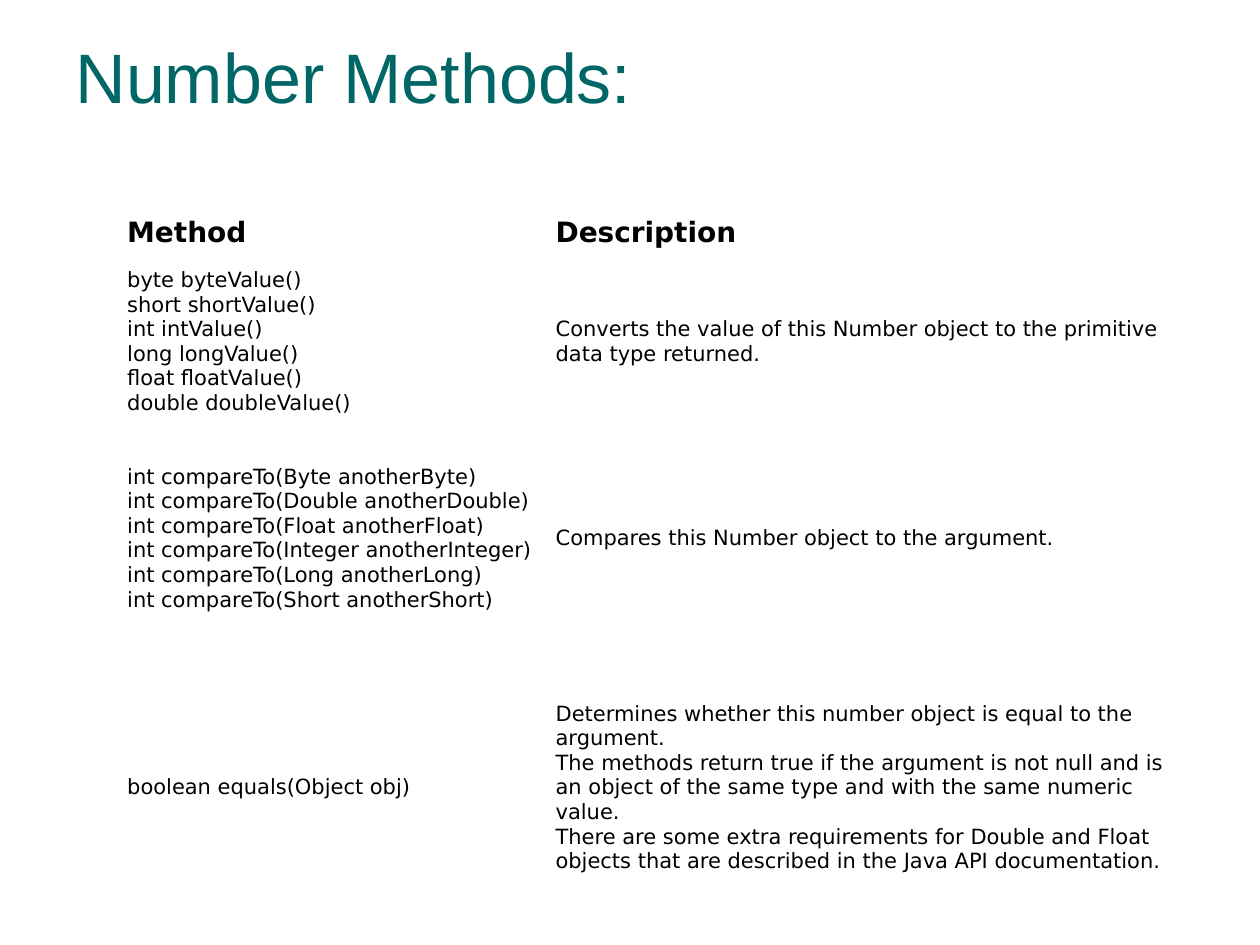
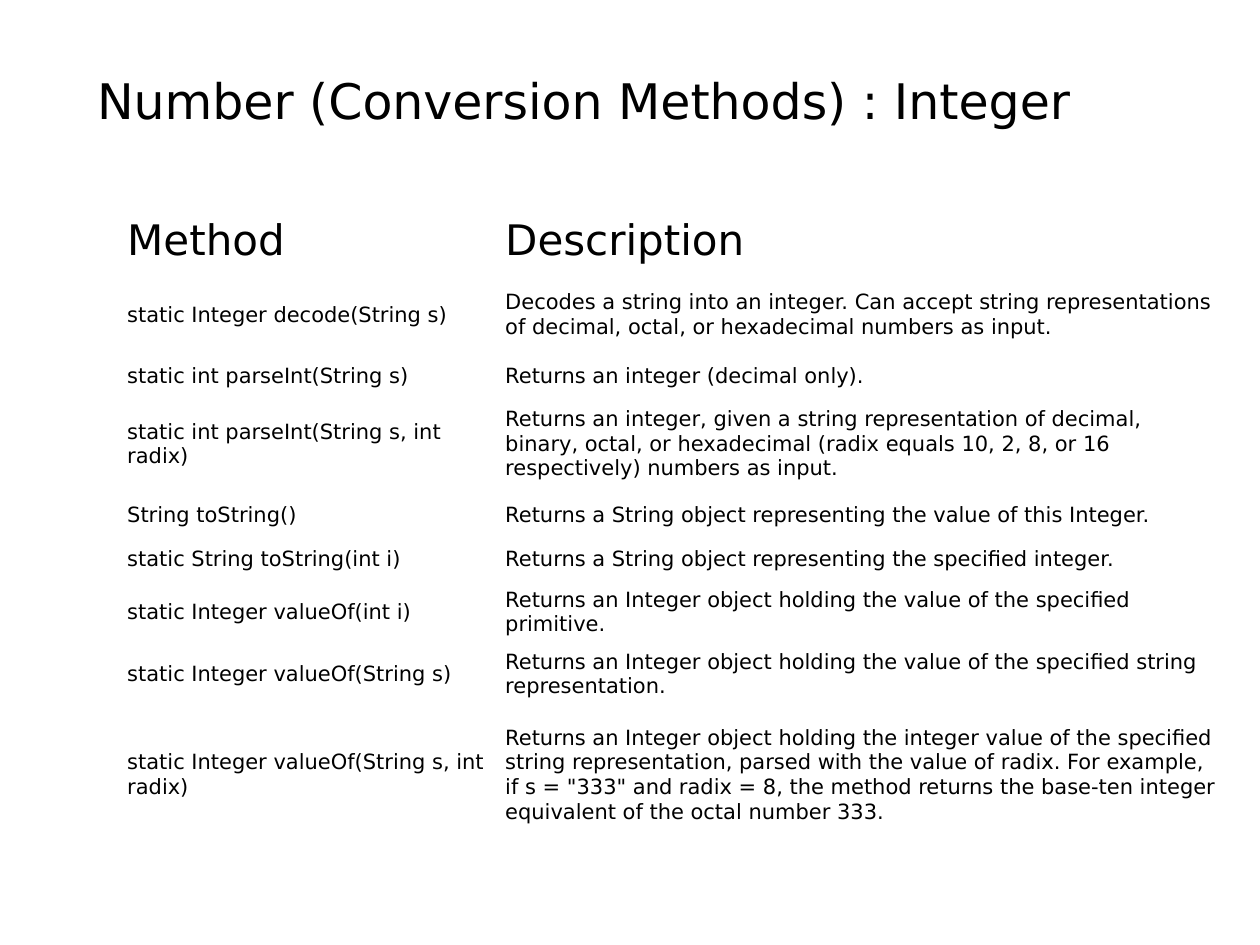
import pptx
import pptx.dml.color
import pptx.enum.text
import pptx.util

Inches = pptx.util.Inches
Anchor = pptx.enum.text.MSO_ANCHOR

TEAL = pptx.dml.color.RGBColor(0x00, 0x66, 0x66)
BLACK = pptx.dml.color.RGBColor(0x00, 0x00, 0x00)

TITLE_ONLY_LAYOUT = 5
TABLE_LEFT, TABLE_TOP = 1, 1.67
CELL_FORMAT = {
    "margin_left": Inches(0.01),
    "margin_right": Inches(0.01),
    "margin_top": Inches(0.05),
    "margin_bottom": Inches(0.05),
    "vertical_anchor": Anchor.MIDDLE,
}
BODY_FONT = {"name": "DejaVu Sans", "size": 12, "bold": False, "color": BLACK}
HEADER = ("Method", "Description")

# Each table row is (height, method, description); a new line starts a paragraph.
SLIDES = [
    {
        "title": "Number Methods:",
        "title_box": (0.5, 0.33, 9, 0.65),
        "title_anchor": Anchor.BOTTOM,
        "title_font": {"name": "Arial", "size": 40, "color": TEAL},
        "header_font": {"size": 16, "bold": True},
        "column_widths": (3.4, 5.1),
        "header_height": 0.3,
        "rows": [
            (1.37,
             "byte byteValue()\nshort shortValue()\nint intValue()\n"
             "long longValue()\nfloat floatValue()\ndouble doubleValue()",
             "Converts the value of this Number object to the primitive "
             "data type returned."),
            (1.75,
             "int compareTo(Byte anotherByte)\n"
             "int compareTo(Double anotherDouble)\n"
             "int compareTo(Float anotherFloat)\n"
             "int compareTo(Integer anotherInteger)\n"
             "int compareTo(Long anotherLong)\n"
             "int compareTo(Short anotherShort)",
             "Compares this Number object to the argument."),
            (2.21,
             "boolean equals(Object obj)",
             "Determines whether this number object is equal to the argument.\n"
             "The methods return true if the argument is not null and is an "
             "object of the same type and with the same numeric value.\n"
             "There are some extra requirements for Double and Float objects "
             "that are described in the Java API documentation."),
        ],
    },
    {
        "title": "Number (Conversion Methods) : Integer",
        "title_box": (0.67, 0.51, 8.75, 0.57),
        "title_anchor": Anchor.TOP,
        "title_font": {"size": 28},
        "header_font": {"size": 24},
        "column_widths": (3, 5.67),
        "header_height": 0.42,
        "rows": [
            (0.68, "static Integer decode(String s)",
             "Decodes a string into an integer. Can accept string "
             "representations of decimal, octal, or hexadecimal numbers as "
             "input."),
            (0.24, "static int parseInt(String s)",
             "Returns an integer (decimal only)."),
            (0.78, "static int parseInt(String s, int radix)",
             "Returns an integer, given a string representation of decimal, "
             "binary, octal, or hexadecimal (radix equals 10, 2, 8, or 16 "
             "respectively) numbers as input."),
            (0.35, "String toString()",
             "Returns a String object representing the value of this Integer."),
            (0.35, "static String toString(int i)",
             "Returns a String object representing the specified integer."),
            (0.42, "static Integer valueOf(int i)",
             "Returns an Integer object holding the value of the specified "
             "primitive."),
            (0.46, "static Integer valueOf(String s)",
             "Returns an Integer object holding the value of the specified "
             "string representation."),
            (1.11, "static Integer valueOf(String s, int radix)",
             "Returns an Integer object holding the integer value of the "
             "specified string representation, parsed with the value of radix. "
             "For example, if s = \"333\" and radix = 8, the method returns the "
             "base-ten integer equivalent of the octal number 333."),
        ],
    },
]


def set_attributes(target, values):
    for name, value in values.items():
        setattr(target, name, value)


def write_text(frame, text, font_changes):
    """Fill the frame with left-aligned text in the body font plus changes."""
    font = {**BODY_FONT, **font_changes}
    frame.text = text
    for para in frame.paragraphs:
        para.alignment = pptx.enum.text.PP_ALIGN.LEFT
        for span in para.runs:
            set_attributes(span.font, {
                "name": font["name"],
                "size": pptx.util.Pt(font["size"]),
                "bold": font["bold"],
            })
            span.font.color.rgb = font["color"]


def add_title(page, content):
    title = page.shapes.title
    sides = ("left", "top", "width", "height")
    set_attributes(title, dict(zip(sides, map(Inches, content["title_box"]))))
    set_attributes(title.text_frame, {
        "word_wrap": True,
        "auto_size": pptx.enum.text.MSO_AUTO_SIZE.NONE,
        "vertical_anchor": content["title_anchor"],
    })
    write_text(title.text_frame, content["title"], content["title_font"])


def add_method_table(page, content):
    rows = [(content["header_height"], *HEADER), *content["rows"]]
    widths = content["column_widths"]
    total_height = sum(row[0] for row in rows)
    table = page.shapes.add_table(
        len(rows), len(widths), Inches(TABLE_LEFT), Inches(TABLE_TOP),
        Inches(sum(widths)), Inches(total_height)).table
    table.horz_banding = False
    for column, width in zip(table.columns, widths):
        column.width = Inches(width)
    for row_index, (height, *texts) in enumerate(rows):
        table.rows[row_index].height = Inches(height)
        font_changes = content["header_font"] if row_index == 0 else {}
        for cell, text in zip(table.rows[row_index].cells, texts):
            cell.fill.background()
            set_attributes(cell, CELL_FORMAT)
            write_text(cell.text_frame, text, font_changes)


def main():
    deck = pptx.Presentation()
    deck.slide_width, deck.slide_height = Inches(10), Inches(7.5)
    for content in SLIDES:
        page = deck.slides.add_slide(deck.slide_layouts[TITLE_ONLY_LAYOUT])
        add_title(page, content)
        add_method_table(page, content)
    deck.save("out.pptx")


if __name__ == "__main__":
    main()
